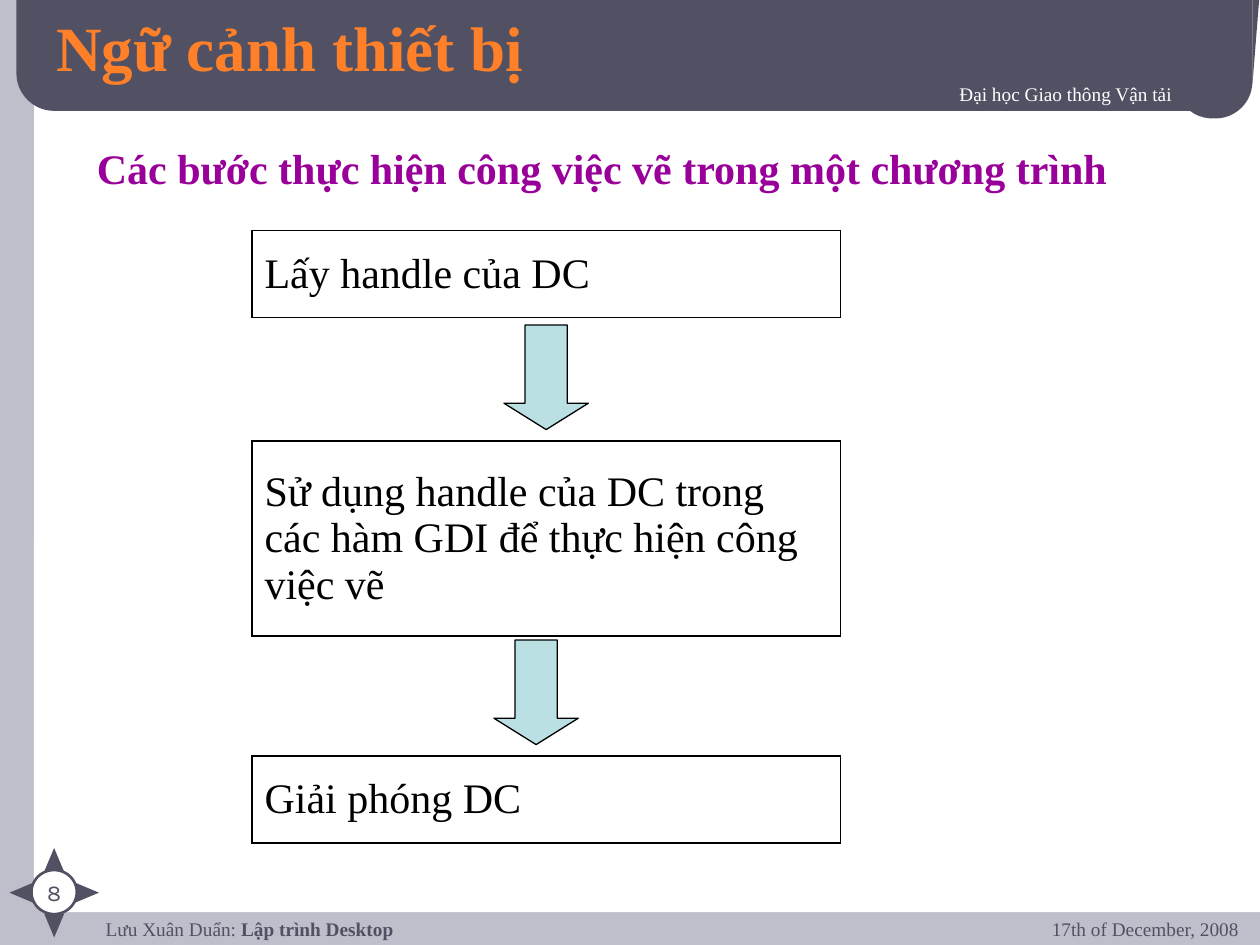
import math
from dataclasses import dataclass

import pptx
import pptx.dml.color
import pptx.enum.shapes
import pptx.enum.text
import pptx.oxml
import pptx.oxml.ns
import pptx.util

Inches = pptx.util.Inches
Pt = pptx.util.Pt
SHAPE = pptx.enum.shapes.MSO_SHAPE
ALIGN = pptx.enum.text.PP_ALIGN
ANCHOR = pptx.enum.text.MSO_ANCHOR
NS = pptx.oxml.ns.nsdecls("a")


@dataclass(frozen=True)
class Theme:
    backdrop: str = "BFBFCB"
    paper: str = "FFFFFF"
    slate: str = "515163"
    title: str = "FF8029"
    heading: str = "990099"
    ink: str = "000000"
    arrow: str = "BBE0E3"
    serif: str = "Times New Roman"
    sans: str = "Karla"
    title_size: float = 36
    body_size: float = 24
    number_size: float = 13
    small_size: float = 11
    border: float = 1.08


THEME = Theme()


def rgb(value):
    return pptx.dml.color.RGBColor.from_string(value)


def style(p, size, color, bold=False, name=THEME.serif, align=ALIGN.LEFT):
    p.alignment = align
    p.font.name = name
    p.font.size = Pt(size)
    p.font.bold = bold
    p.font.color.rgb = rgb(color)


def add_shape(slide, kind, box, fill, line=None, width=0.75, adjust=()):
    s = slide.shapes.add_shape(kind, *map(Inches, box))
    s.shadow.inherit = False
    s.fill.solid()
    s.fill.fore_color.rgb = rgb(fill)
    if line:
        s.line.color.rgb = rgb(line)
        s.line.width = Pt(width)
    else:
        s.line.fill.background()
    for i, value in enumerate(adjust):
        s.adjustments[i] = value
    return s


def add_text(slide, box, runs, size, color, bold=False, align=ALIGN.LEFT,
             inset=0.05, anchor=ANCHOR.TOP):
    s = slide.shapes.add_textbox(*map(Inches, box))
    tf = s.text_frame
    tf.word_wrap = True
    tf.margin_top = tf.margin_bottom = Inches(inset)
    tf.vertical_anchor = anchor
    p = tf.paragraphs[0]
    for text in runs:
        p.add_run().text = text
    style(p, size, color, bold, align=align)
    return p


def add_text_shadow(p):
    for r in p.runs:
        r.font.color.rgb = p.font.color.rgb
        r.font._element.append(pptx.oxml.parse_xml(
            f'<a:effectLst {NS}><a:outerShdw dist="25400" dir="2700000">'
            f'<a:srgbClr val="{THEME.ink}"/></a:outerShdw></a:effectLst>'))


def add_header(slide, box, title, school):
    x, y, w, h = box
    add_shape(slide, SHAPE.ROUNDED_RECTANGLE, (x, y - 0.36, w, h + 0.36),
              THEME.slate, adjust=[0.242])
    add_shape(slide, SHAPE.ROUNDED_RECTANGLE,
              (x + w - 0.61, y + 0.29, 0.61, 0.65), THEME.slate, adjust=[0.48])
    edge = add_shape(slide, SHAPE.RIGHT_TRIANGLE,
                     (x + w, y - 0.08, 0.06, 0.75), THEME.slate)
    edge._element.spPr.get_or_add_xfrm().set("flipV", "1")
    add_text_shadow(add_text(
        slide, (x + 2.9, y + 0.6, 6.37, 0.38), [school],
        THEME.small_size, THEME.paper, align=ALIGN.RIGHT))
    add_text_shadow(add_text(
        slide, (x + 0.22, y + 0.08, 8.36, 0.57), [title],
        THEME.title_size, THEME.title, True, anchor=ANCHOR.MIDDLE))


def add_compass(slide, box, number):
    x, y, w, h = box
    cx, cy = x + w / 2, y + h / 2
    reach, arm_w, arm_h = 0.26, 0.16, 0.19
    for angle in range(0, 360, 90):
        dx = reach * math.sin(math.radians(angle))
        dy = -reach * math.cos(math.radians(angle))
        arm = add_shape(slide, SHAPE.ISOSCELES_TRIANGLE,
                        (cx + dx - arm_w / 2, cy + dy - arm_h / 2, arm_w, arm_h),
                        THEME.slate)
        arm.rotation = angle
    disc = add_shape(slide, SHAPE.OVAL, (cx - 0.18, cy - 0.18, 0.36, 0.35),
                     THEME.paper, THEME.slate, 1.5)
    tf = disc.text_frame
    tf.margin_left = tf.margin_right = tf.margin_top = tf.margin_bottom = 0
    tf.word_wrap = False
    tf.vertical_anchor = ANCHOR.MIDDLE
    tf.text = number
    style(tf.paragraphs[0], THEME.number_size, THEME.slate,
          name=THEME.sans, align=ALIGN.CENTER)


def add_footer(slide, box, author, course, date):
    x, y, w, h = box
    p = add_text(slide, (x, y + 0.05, 7.74, h), [author, course],
                 THEME.small_size, THEME.slate, inset=0)
    p.runs[1].font.bold = True
    add_text(slide, (x + w - 2.41, y, 2.41, h), [date],
             THEME.small_size, THEME.slate, align=ALIGN.RIGHT)


def add_step(slide, box, text):
    frame = slide.shapes.add_table(1, 1, *map(Inches, box))
    table = frame.table
    table.first_row = table.horz_banding = False
    cell = table.cell(0, 0)
    cell.vertical_anchor = ANCHOR.MIDDLE
    cell.text = text
    style(cell.text_frame.paragraphs[0], THEME.body_size, THEME.ink)
    tcPr = cell._tc.get_or_add_tcPr()
    for side in ("lnL", "lnR", "lnT", "lnB"):
        tcPr.append(pptx.oxml.parse_xml(
            f'<a:{side} {NS} w="{Pt(THEME.border)}"><a:solidFill>'
            f'<a:srgbClr val="{THEME.ink}"/></a:solidFill></a:{side}>'))
    cell.fill.background()


def add_flow(slide, box, steps, arrows):
    x, y, w, _ = box
    for top, height, text in steps:
        add_step(slide, (x, y + top, w, height), text)
    for left, top in arrows:
        add_shape(slide, SHAPE.DOWN_ARROW, (x + left, y + top, 0.67, 0.83),
                  THEME.arrow, THEME.ink, adjust=[0.5, 0.312])


def main():
    prs = pptx.Presentation()
    prs.slide_width, prs.slide_height = Inches(10), Inches(7.5)
    slide = prs.slides.add_slide(prs.slide_layouts[6])
    slide.background.fill.solid()
    slide.background.fill.fore_color.rgb = rgb(THEME.backdrop)

    add_shape(slide, SHAPE.ROUNDED_RECTANGLE, (0.27, -0.13, 10.01, 7.37),
              THEME.paper, adjust=[0.022])
    add_header(slide, (0.13, 0, 9.81, 0.88), "Ngữ cảnh thiết bị",
               "Đại học Giao thông Vận tải")
    add_footer(slide, (0.74, 7.23, 9.19, 0.33), "Lưu Xuân Duẩn: ",
               "Lập trình Desktop", "17th of December, 2008")
    add_compass(slide, (0.08, 6.73, 0.7, 0.71), "8")
    add_text(slide, (0.67, 1.08, 8.75, 0.5),
             ["Các bước thực hiện công việc vẽ trong một chương trình"],
             THEME.body_size, THEME.heading, True)
    add_flow(slide, (2, 1.83, 4.67, 4.86),
             [(0, 0.69, "Lấy handle của DC"),
              (1.67, 1.55, "Sử dụng handle của DC trong các hàm GDI "
                           "để thực hiện công việc vẽ"),
              (4.17, 0.69, "Giải phóng DC")],
             [(2, 0.75), (1.92, 3.25)])
    prs.save("out.pptx")


if __name__ == "__main__":
    main()
